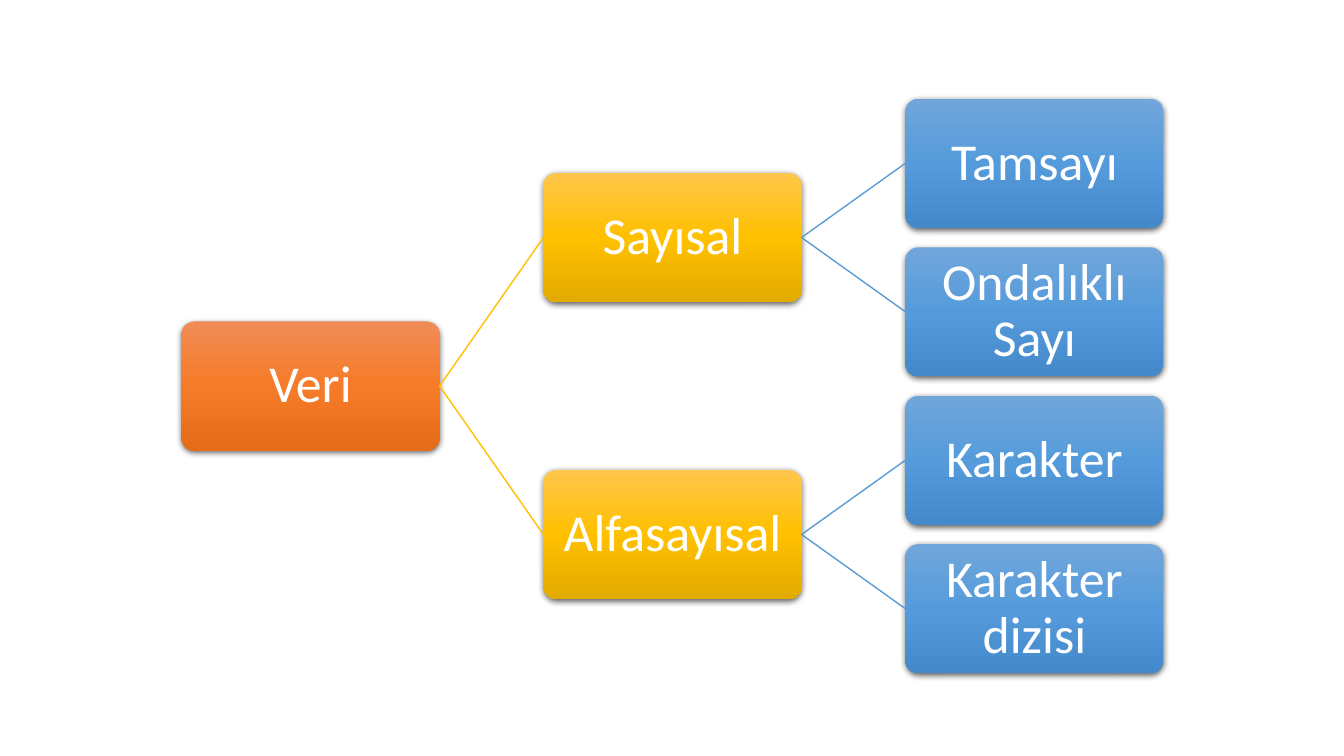
import copy

import pptx
import pptx.dml.color
import pptx.enum.shapes
import pptx.enum.text
import pptx.oxml
import pptx.oxml.ns
import pptx.util

Inches = pptx.util.Inches
Pt = pptx.util.Pt

COLORS = {
    "text": "FFFFFF",
    "gold": "FFC000",
    "blue": "5B9BD5",
    "shade": "000000",
}
# One entry per level: gradient stops, and colour of the line to the parent
LEVELS = [
    (("F18C57", "F67B28", "E56C19"), None),
    (("FFC64B", "FFC000", "E3AB00"), "gold"),
    (("71A6DB", "559BDB", "448ACA"), "blue"),
]
TREE = ("Veri", [
    ("Sayısal", [("Tamsayı", []), ("Ondalıklı Sayı", [])]),
    ("Alfasayısal", [("Karakter", []), ("Karakter dizisi", [])]),
])
LEFT, COL_STEP = 1.8, 3.59
TOP, ROW_STEP = 0.98, 1.473
BOX_W, BOX_H = 2.56, 1.28


def rgb(code):
    return pptx.dml.color.RGBColor.from_string(code)


def write(frame, text, size=37, font="Calibri", color="text", inset=0.07):
    """Put one centred paragraph into a text frame."""
    frame.word_wrap = True
    frame.vertical_anchor = pptx.enum.text.MSO_ANCHOR.MIDDLE
    frame.margin_left = frame.margin_right = Inches(inset)
    frame.margin_top = frame.margin_bottom = Inches(inset)
    para = frame.paragraphs[0]
    para.alignment = pptx.enum.text.PP_ALIGN.CENTER
    para.line_spacing = 0.9
    run = para.add_run()
    run.text = text
    run.font.size = Pt(size)
    run.font.name = font
    run.font.color.rgb = rgb(COLORS[color])


class Chart:
    """Draws a tree from left to right on one slide."""

    def __init__(self, slide):
        self.shapes = slide.shapes
        self.row = 0

    def shade(self, shape):
        """Give the shape a soft shadow that falls downwards."""
        shape.shadow.inherit = False
        effects = shape._element.spPr.find(pptx.oxml.ns.qn("a:effectLst"))
        effects.append(pptx.oxml.parse_xml(
            f'<a:outerShdw {pptx.oxml.ns.nsdecls("a")} blurRad="{Pt(4.5)}" '
            f'dist="{Pt(1.5)}" dir="5400000" algn="ctr" rotWithShape="0">'
            f'<a:srgbClr val="{COLORS["shade"]}"><a:alpha val="63000"/>'
            '</a:srgbClr></a:outerShdw>'))

    def blend(self, fill, codes):
        """Fill from top to bottom through three colours."""
        fill.gradient()
        fill.gradient_angle = 270
        first = fill.gradient_stops[0]._gs
        first.addnext(copy.deepcopy(first))
        for stop, place, code in zip(fill.gradient_stops, (0, 0.5, 1), codes):
            stop.position = place
            stop.color.rgb = rgb(code)

    def box(self, text, left, top, codes):
        shape = self.shapes.add_shape(
            pptx.enum.shapes.MSO_SHAPE.ROUNDED_RECTANGLE,
            Inches(left), Inches(top), Inches(BOX_W), Inches(BOX_H))
        shape.adjustments[0] = 0.1
        shape.line.fill.background()
        self.blend(shape.fill, codes)
        self.shade(shape)
        write(shape.text_frame, text)
        return shape

    def link(self, start, end, color):
        """Join the right side of one box to the left side of another."""
        line = self.shapes.add_connector(
            pptx.enum.shapes.MSO_CONNECTOR.STRAIGHT, 0, 0, 0, 0)
        line.begin_connect(start, 3)
        line.end_connect(end, 1)
        line.line.color.rgb = rgb(COLORS[color])
        line.line.width = Pt(1)
        line._element.spPr.append(
            pptx.oxml.parse_xml(f'<a:effectLst {pptx.oxml.ns.nsdecls("a")}/>'))

    def branch(self, node, level=0):
        """Draw a node centred on its children; return its box and top."""
        text, kids = node
        drawn = [self.branch(kid, level + 1) for kid in kids]
        if drawn:
            top = sum(place for _, place in drawn) / len(drawn)
        else:
            top = TOP + self.row * ROW_STEP
            self.row += 1
        shape = self.box(text, LEFT + level * COL_STEP, top, LEVELS[level][0])
        for kid, _ in drawn:
            self.link(shape, kid, LEVELS[level + 1][1])
        return shape, top


def main():
    deck = pptx.Presentation()
    deck.slide_width = Inches(13.33)
    deck.slide_height = Inches(7.5)
    slide = deck.slides.add_slide(deck.slide_layouts[6])
    Chart(slide).branch(TREE)
    deck.save("out.pptx")


if __name__ == "__main__":
    main()
